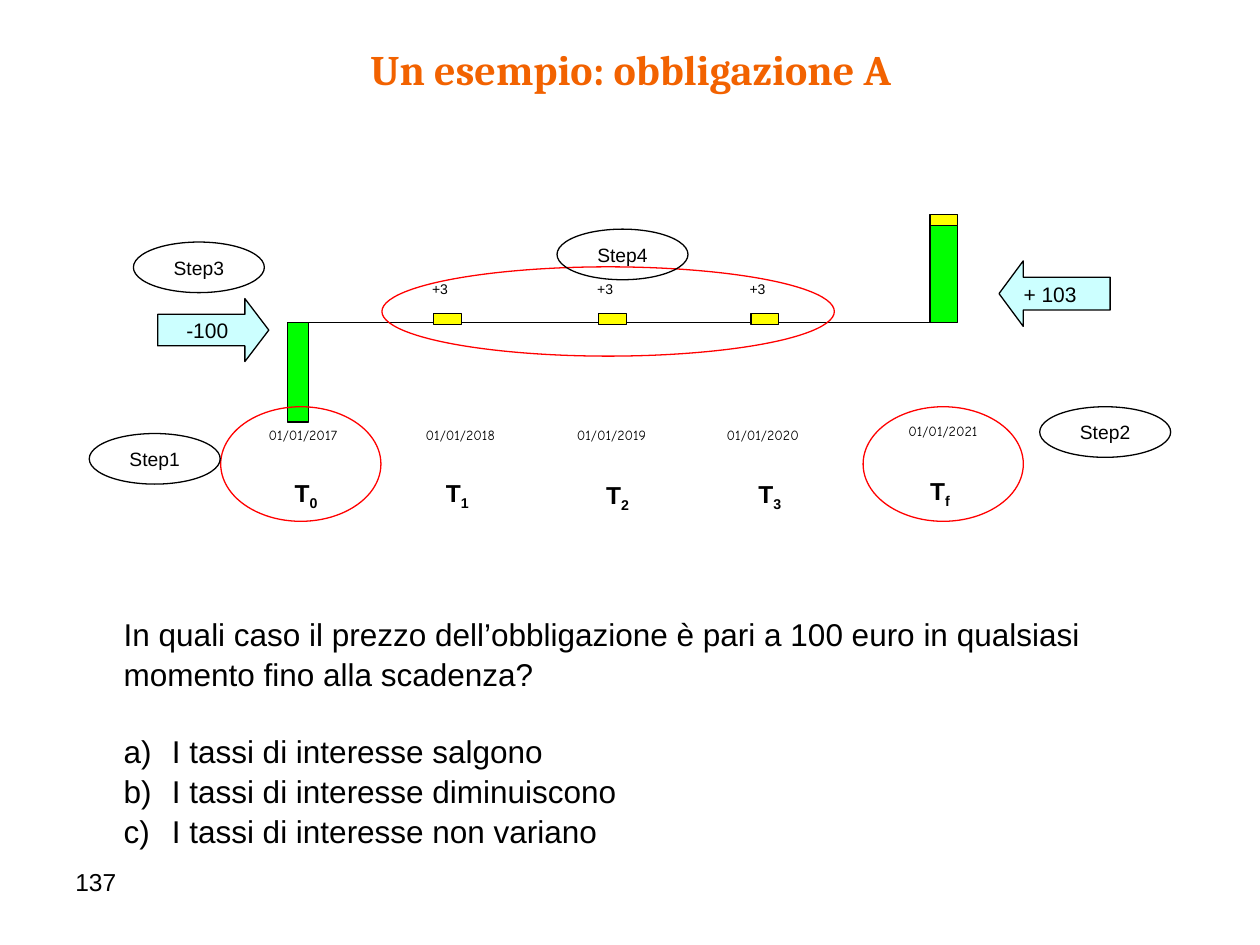
from lxml.etree import SubElement
from pptx import Presentation
from pptx.dml.color import RGBColor
from pptx.enum.shapes import MSO_CONNECTOR, MSO_SHAPE
from pptx.enum.text import MSO_ANCHOR, MSO_AUTO_SIZE, PP_ALIGN
from pptx.oxml.ns import qn
from pptx.util import Cm, Pt

BLACK = RGBColor(0x00, 0x00, 0x00)
ORANGE = RGBColor(0xF2, 0x62, 0x00)
GREEN = RGBColor(0x00, 0xFF, 0x00)
YELLOW = RGBColor(0xFF, 0xFF, 0x00)
RED = RGBColor(0xFF, 0x00, 0x00)
PALE_CYAN = RGBColor(0xCC, 0xFF, 0xFF)


class BondSlide:
    font = "Arial"
    date_font = "Comic Neue"
    title_font = "Cambria"
    line_width = Pt(0.75)

    def __init__(self, slide):
        self.slide = slide

    def format_runs(self, paragraph, size, font=None, color=BLACK, bold=False):
        for run in paragraph.runs:
            run.font.size = Pt(size)
            run.font.name = font or self.font
            run.font.color.rgb = color
            run.font.bold = bold

    def place(self, item, left, top, width, height):
        item.left, item.top = Cm(left), Cm(top)
        item.width, item.height = Cm(width), Cm(height)

    def title(self, text, *box):
        heading = self.slide.shapes.title
        self.place(heading, *box)
        frame = heading.text_frame
        frame.text = text
        frame.vertical_anchor = MSO_ANCHOR.MIDDLE
        frame.paragraphs[0].alignment = PP_ALIGN.CENTER
        self.format_runs(frame.paragraphs[0], 24, self.title_font, ORANGE, True)

    def question(self, text, answers, *box):
        body = self.slide.placeholders[1]
        self.place(body, *box)
        frame = body.text_frame
        frame.auto_size = MSO_AUTO_SIZE.NONE
        frame.text = "\n".join([text, *answers])
        for number, paragraph in enumerate(frame.paragraphs):
            paragraph.line_spacing = 1.05
            paragraph.space_before = Pt(21.5 if number == 1 else 0)
            indent = Cm(0.97) if number else 0
            properties = paragraph._p.get_or_add_pPr()
            properties.set("marL", str(indent))
            properties.set("indent", str(-indent))
            if number:
                SubElement(properties, qn("a:buFont"), typeface=self.font)
                SubElement(properties, qn("a:buAutoNum"), type="alphaLcParenR")
            else:
                SubElement(properties, qn("a:buNone"))
            self.format_runs(paragraph, 18)

    def label(self, text, size, *box, subscript="", font=None, bold=False,
              centered=True, inset=True, wrap=False):
        note = self.slide.shapes.add_textbox(*map(Cm, box))
        frame = note.text_frame
        frame.word_wrap = wrap
        if not inset:
            frame.margin_left = frame.margin_right = 0
            frame.margin_top = frame.margin_bottom = 0
        frame.text = text
        paragraph = frame.paragraphs[0]
        paragraph.alignment = PP_ALIGN.CENTER if centered else PP_ALIGN.LEFT
        if subscript:
            lowered = paragraph.add_run()
            lowered.text = subscript
            lowered._r.get_or_add_rPr().set("baseline", "-25000")
        self.format_runs(paragraph, size, font, bold=bold)

    def shape(self, preset, *box, fill=None, line=BLACK, text="", size=12,
              align=PP_ALIGN.CENTER, head=None):
        figure = self.slide.shapes.add_shape(preset, *map(Cm, box))
        figure.shadow.inherit = False
        if fill is None:
            figure.fill.background()
        else:
            figure.fill.solid()
            figure.fill.fore_color.rgb = fill
        figure.line.color.rgb = line
        figure.line.width = self.line_width
        if head is not None:
            figure.adjustments[1] = head
        if text:
            frame = figure.text_frame
            frame.text = text
            frame.word_wrap = False
            frame.vertical_anchor = MSO_ANCHOR.MIDDLE
            frame.paragraphs[0].alignment = align
            self.format_runs(frame.paragraphs[0], size)

    def bar(self, *box, fill):
        self.shape(MSO_SHAPE.RECTANGLE, *box, fill=fill)

    def ring(self, *box):
        self.shape(MSO_SHAPE.OVAL, *box, line=RED)

    def step(self, number, left, top):
        self.shape(MSO_SHAPE.OVAL, left, top, 2.64, 1.02,
                   text=f"Step{number}", size=11)

    def time_axis(self, start, end, y):
        axis = self.slide.shapes.add_connector(
            MSO_CONNECTOR.STRAIGHT, Cm(start), Cm(y), Cm(end), Cm(y))
        axis.line.color.rgb = BLACK
        axis.line.width = self.line_width
        SubElement(axis._element.spPr, qn("a:effectLst"))


def main():
    deck = Presentation()
    deck.slide_width, deck.slide_height = Cm(25.4), Cm(19.05)
    bond = BondSlide(deck.slides.add_slide(deck.slide_layouts[1]))

    bond.title("Un esempio: obbligazione A", 1.22, 0.74, 22.99, 1.3)
    bond.label("137", 14, 1.27, 17.35, 5.92, 1.32, centered=False, wrap=True)

    axis_y, bar_height = 6.5, 2.01
    bond.time_axis(5.79, 19.15, axis_y)
    bond.bar(5.79, axis_y, 0.43, bar_height, fill=GREEN)
    bond.bar(18.75, axis_y - bar_height, 0.56, bar_height, fill=GREEN)
    bond.bar(18.75, 4.32, 0.56, 0.23, fill=YELLOW)
    for coupon_left in (8.74, 12.07, 15.14):
        bond.bar(coupon_left, 6.32, 0.56, 0.23, fill=YELLOW)
        bond.label("+3", 8, coupon_left - 0.28, 5.54, 1.27, 0.69, centered=False)

    bond.shape(MSO_SHAPE.RIGHT_ARROW, 3.18, 6.02, 2.24, 1.27,
               fill=PALE_CYAN, text="-100", head=0.38)
    bond.shape(MSO_SHAPE.LEFT_ARROW, 20.14, 5.26, 2.24, 1.32, fill=PALE_CYAN,
               text="+ 103", align=PP_ALIGN.LEFT, head=0.37)

    moments = [
        ("0", 2017, 6.11, 8.59, 6.17, 9.63),
        ("1", 2018, 9.28, 8.59, 9.22, 9.63),
        ("2", 2019, 12.33, 8.59, 12.45, 9.68),
        ("3", 2020, 15.38, 8.59, 15.52, 9.65),
        ("f", 2021, 19.01, 8.51, 18.95, 9.6),
    ]
    for index, year, date_center, date_top, time_center, time_top in moments:
        bond.label(f"01/01/{year}", 8, date_center - 1.08, date_top, 2.16, 0.41,
                   font=bond.date_font, inset=False)
        bond.label("T", 14, time_center - 0.33, time_top, 0.66, 0.71,
                   subscript=index, bold=True, inset=False)

    for ring_left in (4.45, 17.4):
        bond.ring(ring_left, 8.2, 3.23, 2.31)
    bond.ring(7.7, 5.38, 9.12, 1.8)

    step_places = [(1.8, 8.74), (20.96, 8.2), (2.69, 4.88), (11.23, 4.62)]
    for number, place in enumerate(step_places, 1):
        bond.step(number, *place)

    bond.question(
        "In quali caso il prezzo dell’obbligazione è pari a 100 euro "
        "in qualsiasi momento fino alla scadenza?",
        ["I tassi di interesse salgono",
         "I tassi di interesse diminuiscono",
         "I tassi di interesse non variano"],
        2.24, 12.24, 21.26, 4.88)

    deck.save("out.pptx")


if __name__ == "__main__":
    main()
